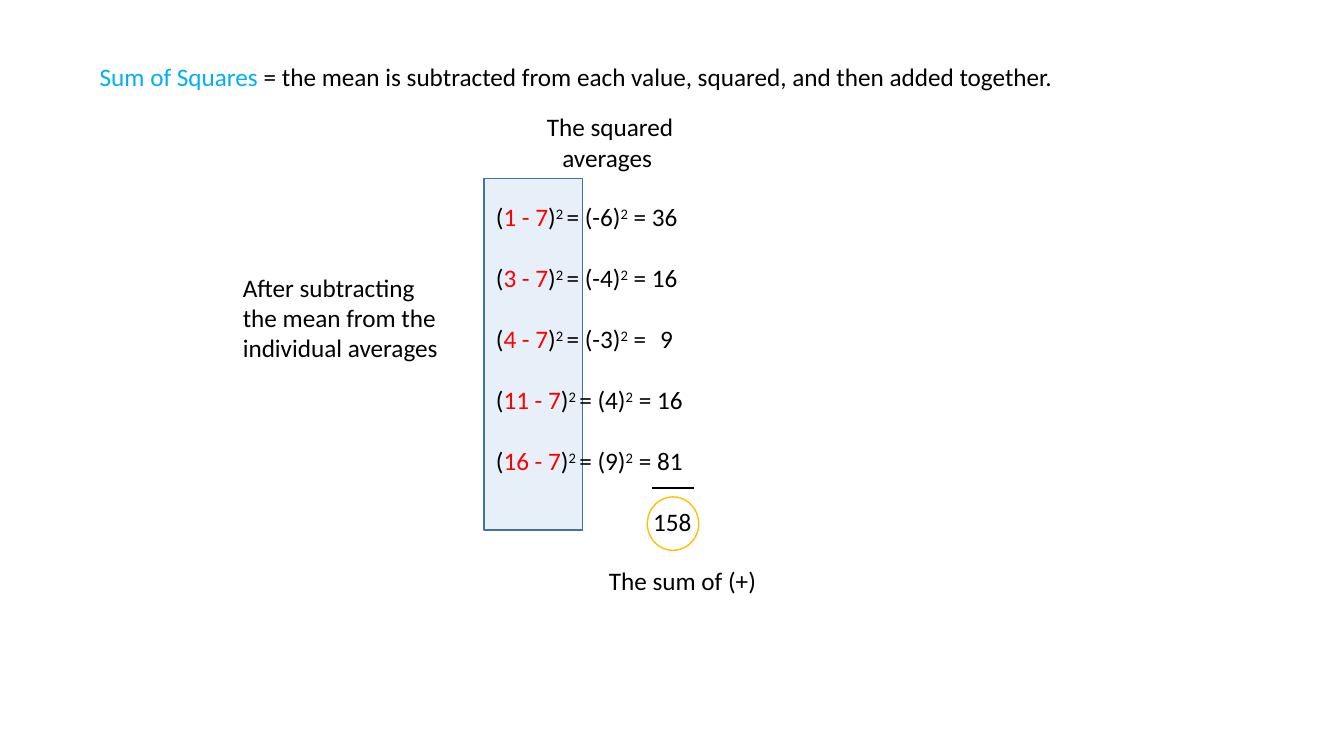
from lxml import etree
from pptx import Presentation
from pptx.dml.color import RGBColor
from pptx.enum.shapes import MSO_CONNECTOR as CONN, MSO_SHAPE as SHAPE
from pptx.enum.text import PP_ALIGN as ALIGN
from pptx.oxml.ns import qn
from pptx.util import Inches, Pt

W, H = 13.33, 7.5
BLACK, RED, CYAN = "000000", "FF0000", "00B0F0"
MEAN = 7
VALUES = [1, 3, 4, 11, 16]
LINE_GAP = 22  # points: one 18 pt line


def rgb(code):
    return RGBColor.from_string(code)


def add_run(p, text, color=BLACK, size=18, raised=False):
    r = p.add_run()
    r.text = text
    r.font.name, r.font.size = "Calibri", Pt(size)
    r.font.color.rgb = rgb(color)
    if raised:
        r.font._element.set("baseline", "30000")


def add_text(s, box, *runs, wrap=True, align=ALIGN.LEFT):
    """Place a text box; each run is (text, color). Return its text frame."""
    tf = s.shapes.add_textbox(*map(Inches, box)).text_frame
    tf.word_wrap = wrap
    p = tf.paragraphs[0]
    p.alignment = align
    for text, color in runs:
        add_run(p, text, color)
    return tf


def add_outline(s, kind, box, line, fill=None, alpha=100):
    sp = s.shapes.add_shape(kind, *map(Inches, box))
    sp.shadow.inherit = False
    sp.line.color.rgb, sp.line.width = rgb(line), Pt(1)
    if fill:
        sp.fill.solid()
        sp.fill.fore_color.rgb = rgb(fill)
        clr = sp._element.spPr.find(qn("a:solidFill"))[0]
        etree.SubElement(clr, qn("a:alpha"), val=str(alpha * 1000))
    else:
        sp.fill.background()


def add_tab(p, inches):
    tabs = etree.SubElement(p._p.get_or_add_pPr(), qn("a:tabLst"))
    etree.SubElement(tabs, qn("a:tab"), pos=str(Inches(inches)), algn="l")


def add_equation(p, value):
    diff = value - MEAN
    square = diff ** 2
    add_run(p, "(")
    add_run(p, f"{value} - {MEAN}", RED)
    add_run(p, ")")
    add_run(p, "2 ", raised=True)
    add_run(p, f"= ({diff})")
    add_run(p, "2", raised=True)
    if square < 10:
        add_tab(p, 1.63)
        add_run(p, f" =\t{square}")
    else:
        add_run(p, f" = {square}")


def add_calculation(s, x, y, w, h):
    """Equations, one per value, with the shaded differences and the total."""
    add_outline(s, SHAPE.RECTANGLE, (x, y, 0.98, h - 0.12), "43739E", "5B9BD5", 14)
    tf = add_text(s, (x + 0.02, y + 0.18, w, h - 0.18), wrap=False)
    for i, value in enumerate(VALUES):
        p = tf.add_paragraph() if i else tf.paragraphs[0]
        if i:
            p.space_before = Pt(LINE_GAP)
        add_equation(p, value)
    p = tf.add_paragraph()
    p.space_before = Pt(LINE_GAP)
    add_tab(p, 1.56)
    add_run(p, f"\t{sum((v - MEAN) ** 2 for v in VALUES)}")

    rule_y = y + 3.07
    rule = s.shapes.add_connector(CONN.STRAIGHT, *map(
        Inches, (x + 2.08, rule_y, x + 1.67, rule_y)))
    rule.line.color.rgb, rule.line.width = rgb(BLACK), Pt(1.5)
    etree.SubElement(rule._element.spPr, qn("a:effectLst"))
    add_outline(s, SHAPE.OVAL, (x + 1.62, rule_y + 0.09, 0.51, 0.53), "FFC000")


def add_labels(s, x, y):
    """Definition along the top and the three notes around the calculation."""
    add_text(s, (x, y, 10.32, 0.4), ("Sum of Squares ", CYAN),
             ("= the mean is subtracted from each value, squared, "
              "and then added together.", BLACK))
    add_text(s, (x + 1.42, y + 2.09, 2.2, 1.01),
             ("After subtracting the mean from the individual averages", BLACK))
    add_text(s, (x + 4.37, y + 0.5, 1.58, 0.71),
             ("The squared averages ", BLACK), align=ALIGN.CENTER)
    add_text(s, (x + 5.05, y + 5, 1.68, 0.4), ("The sum of (+)", BLACK), wrap=False)


def main():
    prs = Presentation()
    prs.slide_width, prs.slide_height = Inches(W), Inches(H)
    s = prs.slides.add_slide(prs.slide_layouts[6])
    add_calculation(s, 4.8, 1.77, 2.23, 3.61)
    add_labels(s, 0.89, 0.56)
    prs.save("out.pptx")


if __name__ == "__main__":
    main()
